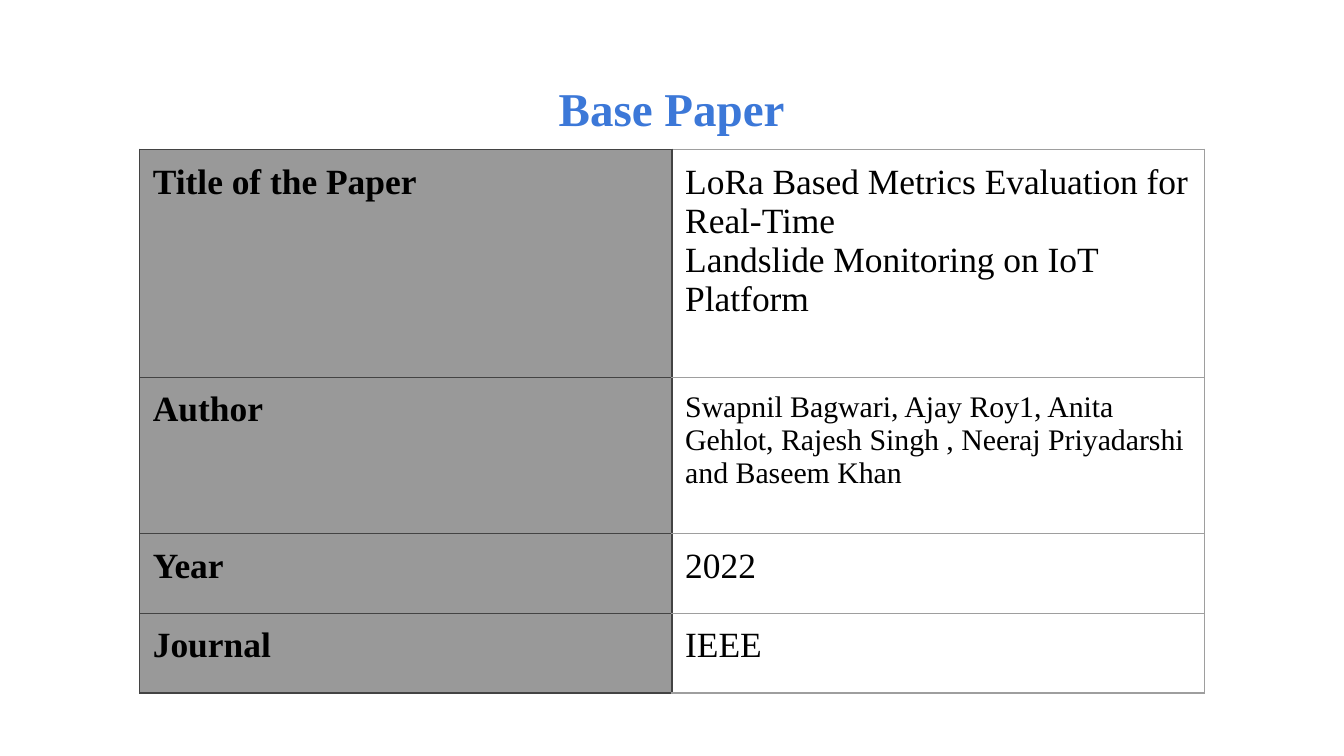
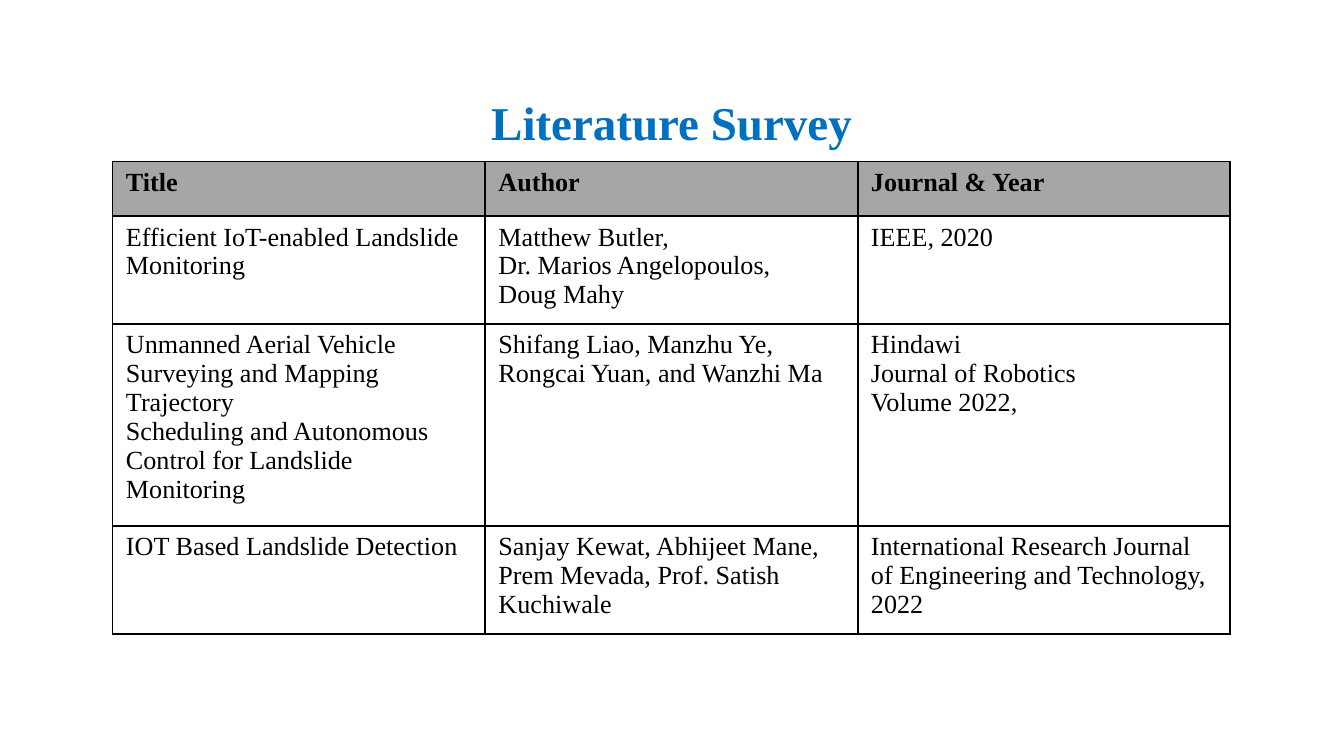
from lxml import etree
from pptx import Presentation
from pptx import util as u
from pptx.dml.color import RGBColor
from pptx.enum import text
from pptx.oxml import ns

FONT = "Times New Roman"
COLORS = {
    "ink": "000000",
    "base_title": "3C78D8",
    "survey_title": "0070C0",
    "label_fill": "999999",
    "header_fill": "A6A6A6",
    "dark_line": "434343",
    "light_line": "9E9E9E",
}

BASE_PAPER = [
    ("Title of the Paper", 4.31, 19,
     ["LoRa Based Metrics Evaluation for Real-Time",
      "Landslide Monitoring on IoT Platform"]),
    ("Author", 2.95, 16,
     ["Swapnil Bagwari, Ajay Roy1, Anita Gehlot, Rajesh Singh , "
      "Neeraj Priyadarshi and Baseem Khan"]),
    ("Year", 1.51, 19, ["2022"]),
    ("Journal", 1.51, 19, ["IEEE"]),
]

SURVEY_HEADERS = ["Title", "Author", "Journal & Year"]
SURVEY = [
    (["Efficient IoT-enabled Landslide Monitoring"],
     ["Matthew Butler,", "Dr. Marios Angelopoulos,", "Doug Mahy"],
     ["IEEE, 2020"]),
    (["Unmanned Aerial Vehicle Surveying and Mapping Trajectory",
      "Scheduling and Autonomous Control for Landslide Monitoring"],
     ["Shifang Liao, Manzhu Ye, Rongcai Yuan, and Wanzhi Ma"],
     ["Hindawi", "Journal of Robotics", "Volume 2022,"]),
    (["IOT Based Landslide Detection"],
     ["Sanjay Kewat, Abhijeet Mane, Prem Mevada, Prof. Satish Kuchiwale"],
     ["International Research Journal of Engineering and Technology, 2022"]),
]


def rgb(color):
    return RGBColor.from_string(COLORS[color])


def add_run(paragraph, words, size, color="ink", bold=False):
    run = paragraph.add_run()
    run.text = words
    run.font.name = FONT
    run.font.size = u.Pt(size)
    run.font.bold = bold
    run.font.color.rgb = rgb(color)


def set_margins(holder, side, top):
    holder.margin_left = holder.margin_right = u.Cm(side)
    holder.margin_top = holder.margin_bottom = u.Cm(top)


def add_title(slide, words, color, spacing=1.0):
    heading = slide.shapes.add_textbox(
        u.Cm(0.86), u.Cm(1.24), u.Cm(23.67), u.Cm(1.6)).text_frame
    heading.word_wrap = True
    heading.vertical_anchor = text.MSO_ANCHOR.MIDDLE
    set_margins(heading, 0.25, 0.25)
    paragraph = heading.paragraphs[0]
    paragraph.alignment = text.PP_ALIGN.CENTER
    paragraph.line_spacing = spacing
    add_run(paragraph, words, 25.2, color, bold=True)


def add_grid(slide, left, top, col_width, cols, row_heights):
    frame = slide.shapes.add_table(
        len(row_heights), cols, u.Cm(left), u.Cm(top),
        u.Cm(col_width * cols), u.Cm(sum(row_heights)))
    grid = frame.table
    grid.first_row = grid.horz_banding = False
    for column in grid.columns:
        column.width = u.Cm(col_width)
    for row, height in zip(grid.rows, row_heights):
        row.height = u.Cm(height)
    return grid


def set_borders(cell, width, line_colors):
    properties = cell._tc.get_or_add_tcPr()
    for side, color in zip("LRTB", line_colors):
        line = etree.SubElement(
            properties, ns.qn(f"a:ln{side}"), w=str(u.Pt(width)))
        fill = etree.SubElement(line, ns.qn("a:solidFill"))
        etree.SubElement(fill, ns.qn("a:srgbClr"), val=COLORS[color])


def fill_cell(cell, lines, size, width, line_colors, top_margin,
              fill=None, bold=False):
    set_margins(cell, 0.25, top_margin)
    set_borders(cell, width, line_colors)
    if fill:
        cell.fill.solid()
        cell.fill.fore_color.rgb = rgb(fill)
    else:
        cell.fill.background()
    frame = cell.text_frame
    for index, words in enumerate(lines):
        paragraph = frame.add_paragraph() if index else frame.paragraphs[0]
        add_run(paragraph, words, size, bold=bold)


def build_base_paper(slide):
    add_title(slide, "Base Paper", "base_title")
    heights = [height for _, height, _, _ in BASE_PAPER]
    details = add_grid(slide, 2.64, 2.82, 10.06, 2, heights)
    label_lines = ["dark_line"] * 4
    value_lines = ["dark_line"] + ["light_line"] * 3
    for row, (label, _, size, value) in enumerate(BASE_PAPER):
        fill_cell(details.cell(row, 0), [label], 19, 0.75, label_lines, 0.25,
                  fill="label_fill", bold=True)
        fill_cell(details.cell(row, 1), value, size, 0.75, value_lines, 0.25)


def build_survey(slide):
    add_title(slide, "Literature Survey", "survey_title", spacing=1.5)
    rows = [[[header] for header in SURVEY_HEADERS], *SURVEY]
    papers = add_grid(slide, 2.13, 3.05, 7.04, len(SURVEY_HEADERS),
                      [1.03] * len(rows))
    for row, entries in enumerate(rows):
        is_header = row == 0
        for col, lines in enumerate(entries):
            fill_cell(papers.cell(row, col), lines, 14, 1, ["ink"] * 4, 0.13,
                      fill="header_fill" if is_header else None,
                      bold=is_header)


def main():
    deck = Presentation()
    deck.slide_width, deck.slide_height = u.Cm(25.4), u.Cm(14.29)
    blank = deck.slide_layouts[6]
    for build in (build_base_paper, build_survey):
        build(deck.slides.add_slide(blank))
    deck.save("out.pptx")


if __name__ == "__main__":
    main()
